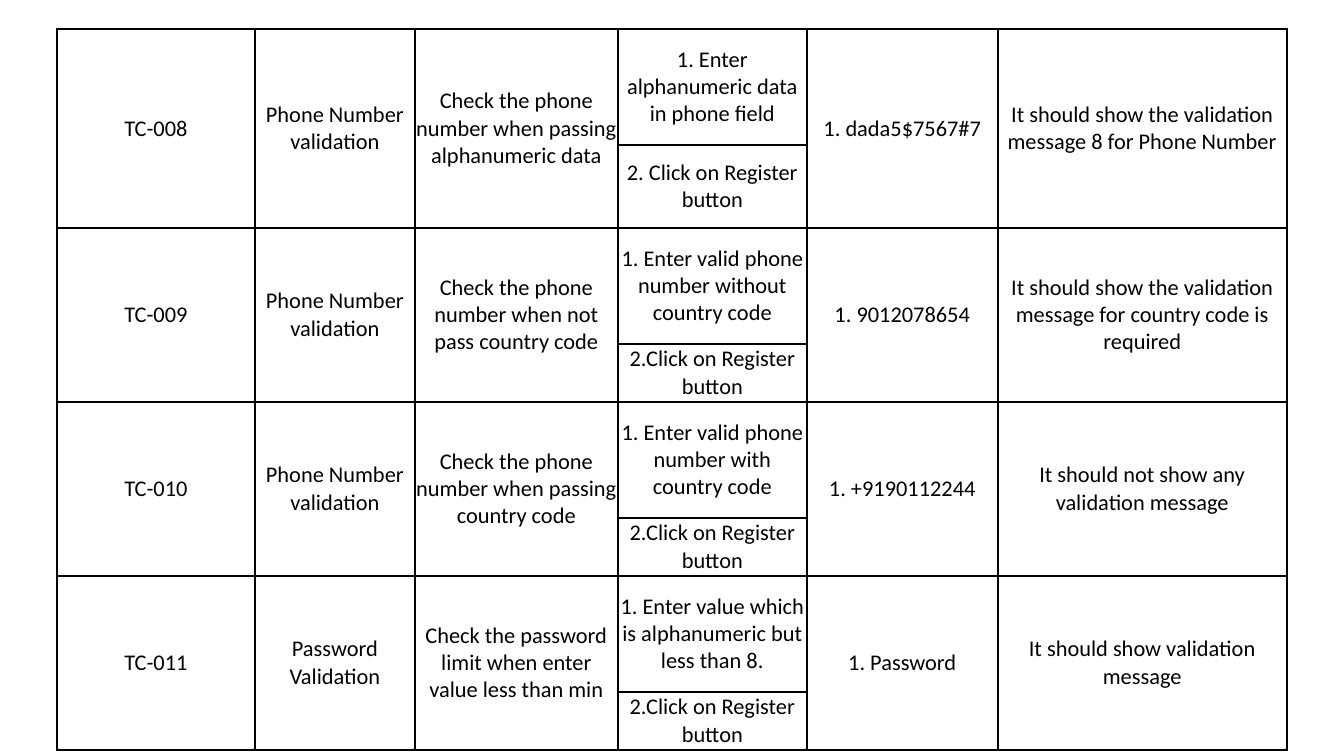
import lxml.etree
import pptx
import pptx.dml.color
import pptx.enum.text
import pptx.oxml.ns
import pptx.util

PX = 914400 / 134.4
COLORS = {"ink": "000000", "paper": "FFFFFF"}
COLUMN_WIDTHS = [198, 160, 203, 189, 191, 289]
STEP_COLUMN = 3
ROW_HEIGHTS = [116, 83] + [116, 58] * 3

# Identifier, scenario, check, first step, second step, data, expected result
TEST_CASES = [
    ("TC-008", "Phone Number validation",
     "Check the phone number when passing alphanumeric data",
     "1. Enter alphanumeric data in phone field", "2. Click on Register button",
     "1. dada5$7567#7", "It should show the validation message 8 for Phone Number"),
    ("TC-009", "Phone Number validation",
     "Check the phone number when not pass country code",
     "1. Enter valid phone number without country code", "2.Click on Register button",
     "1. 9012078654",
     "It should show the validation message for country code is required"),
    ("TC-010", "Phone Number validation",
     "Check the phone number when passing country code",
     "1. Enter valid phone number with country code", "2.Click on Register button",
     "1. +9190112244", "It should not show any validation message"),
    ("TC-011", "Password Validation",
     "Check the password limit when enter value less than min",
     "1. Enter value which is alphanumeric but less than 8.",
     "2.Click on Register button",
     "1. Password", "It should show validation message"),
]


def px(length):
    return pptx.util.Emu(round(length * PX))


def rgb(name):
    return pptx.dml.color.RGBColor.from_string(COLORS[name])


def add_borders(cell):
    properties = cell._tc.get_or_add_tcPr()
    qn = pptx.oxml.ns.qn
    for index, side in enumerate(("lnL", "lnR", "lnT", "lnB")):
        line = lxml.etree.Element(qn(f"a:{side}"), w=str(pptx.util.Pt(1)))
        fill = lxml.etree.SubElement(line, qn("a:solidFill"))
        lxml.etree.SubElement(fill, qn("a:srgbClr"), val=COLORS["ink"])
        properties.insert(index, line)


def format_cell(cell):
    cell.margin_left = cell.margin_right = cell.margin_top = cell.margin_bottom = 0
    cell.vertical_anchor = pptx.enum.text.MSO_ANCHOR.MIDDLE
    cell.fill.solid()
    cell.fill.fore_color.rgb = rgb("paper")
    add_borders(cell)
    paragraph = cell.text_frame.paragraphs[0]
    paragraph.alignment = pptx.enum.text.PP_ALIGN.CENTER
    paragraph.font.name = "Calibri"
    paragraph.font.size = pptx.util.Pt(12)
    paragraph.font.color.rgb = rgb("ink")


def fill_test_case(table, top_row, test_case):
    """Write one test case over two rows, merging all but the step column."""
    *before, first_step, second_step, data, expected = test_case
    for column, text in enumerate([*before, first_step, data, expected]):
        cell = table.cell(top_row, column)
        cell.text = text
        below = table.cell(top_row + 1, column)
        if column == STEP_COLUMN:
            below.text = second_step
        else:
            cell.merge(below)


def add_test_case_table(slide, left, top):
    table = slide.shapes.add_table(
        len(ROW_HEIGHTS), len(COLUMN_WIDTHS), px(left), px(top),
        px(sum(COLUMN_WIDTHS)), px(sum(ROW_HEIGHTS))).table
    table.first_row = table.horz_banding = False
    for column, width in zip(table.columns, COLUMN_WIDTHS):
        column.width = px(width)
    for row, height in zip(table.rows, ROW_HEIGHTS):
        row.height = px(height)
    for index, test_case in enumerate(TEST_CASES):
        fill_test_case(table, 2 * index, test_case)
    for row in table.rows:
        for cell in row.cells:
            format_cell(cell)


def main():
    presentation = pptx.Presentation()
    presentation.slide_width, presentation.slide_height = px(1344), px(756)
    slide = presentation.slides.add_slide(presentation.slide_layouts[6])
    add_test_case_table(slide, 57, 29)
    presentation.save("out.pptx")


if __name__ == "__main__":
    main()
